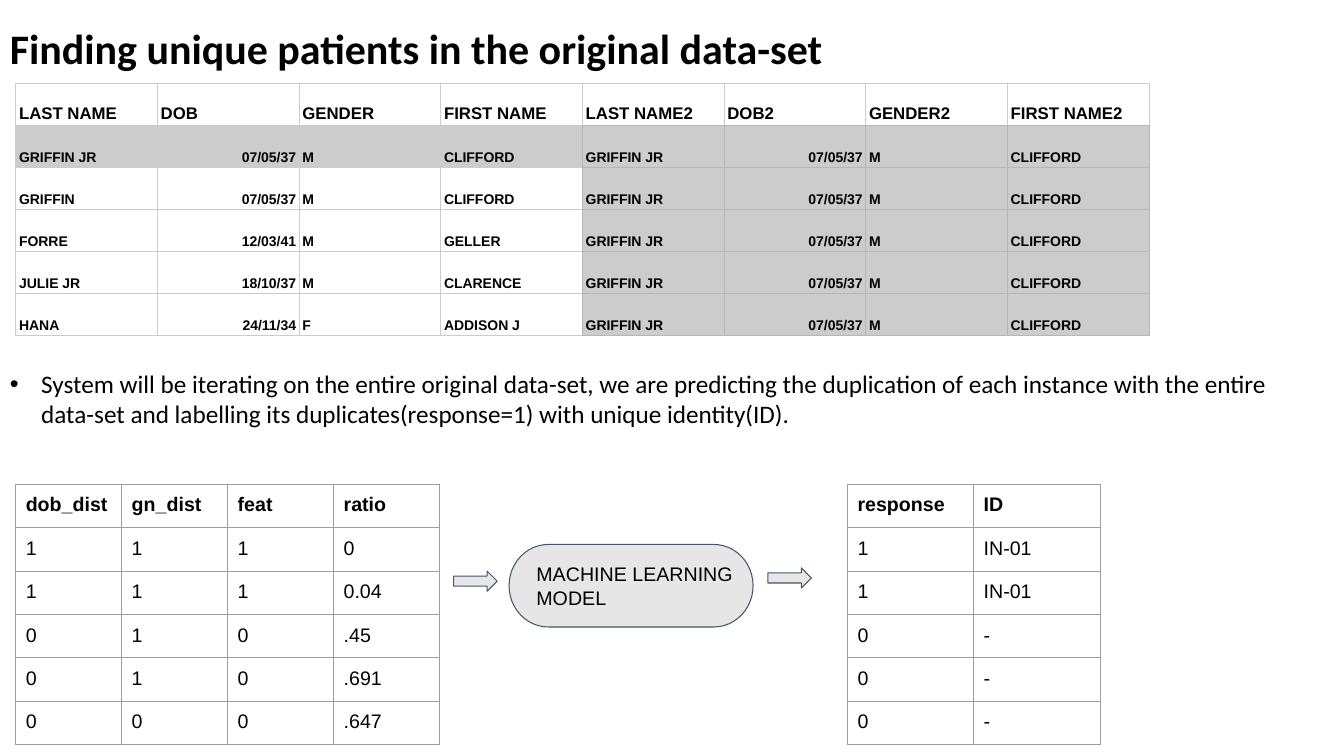
import lxml.etree
import pptx
import pptx.dml.color
import pptx.enum.shapes
import pptx.enum.text
import pptx.oxml.ns
import pptx.util

Cm = pptx.util.Cm
Pt = pptx.util.Pt
Align = pptx.enum.text.PP_ALIGN
Anchor = pptx.enum.text.MSO_ANCHOR
Preset = pptx.enum.shapes.MSO_SHAPE

COLORS = {
    "text": "000000",
    "page": "FFFFFF",
    "duplicate": "CCCCCC",
    "patient_grid": "CCCCCC",
    "duplicate_grid": "B7B7B7",
    "model_grid": "9E9E9E",
    "model_fill": "E7E6E6",
    "model_line": "44546A",
}

PATIENT_HEADERS = ["LAST NAME", "DOB", "GENDER", "FIRST NAME"]
PATIENTS = [
    ["GRIFFIN JR", "07/05/37", "M", "CLIFFORD"],
    ["GRIFFIN", "07/05/37", "M", "CLIFFORD"],
    ["FORRE", "12/03/41", "M", "GELLER"],
    ["JULIE JR", "18/10/37", "M", "CLARENCE"],
    ["HANA", "24/11/34", "F", "ADDISON J"],
]
FEATURES = [
    ["dob_dist", "gn_dist", "feat", "ratio"],
    ["1", "1", "1", "0"],
    ["1", "1", "1", "0.04"],
    ["0", "1", "0", ".45"],
    ["0", "1", "0", ".691"],
    ["0", "0", "0", ".647"],
]
RESPONSES = [["response", "ID"]] + [["1", "IN-01"]] * 2 + [["0", "-"]] * 3


def rgb(name):
    return pptx.dml.color.RGBColor.from_string(COLORS[name])


def add_xml(parent, tag, **attributes):
    return lxml.etree.SubElement(parent, pptx.oxml.ns.qn(tag), attributes)


def write(frame, text, size=14, font="Arial", bold=False, align=Align.LEFT,
          anchor=Anchor.TOP, insets=(0.25, 0.25, 0.25, 0.25), spacing=1.0, wrap=True):
    """Fill a text frame, one paragraph for each line of text."""
    frame.word_wrap = wrap
    frame.vertical_anchor = anchor
    frame.margin_left, frame.margin_top, frame.margin_right, frame.margin_bottom = map(Cm, insets)
    frame.text = text
    for paragraph in frame.paragraphs:
        paragraph.alignment = align
        paragraph.line_spacing = spacing
        paragraph.font.size = Pt(size)
        paragraph.font.name = font
        paragraph.font.bold = bold
        paragraph.font.color.rgb = rgb("text")


def add_text(slide, box, text, **text_format):
    frame = slide.shapes.add_textbox(*map(Cm, box)).text_frame
    write(frame, text, **text_format)
    return frame


def add_shape(slide, preset, box):
    shape = slide.shapes.add_shape(preset, *map(Cm, box))
    shape.shadow.inherit = False
    shape.fill.solid()
    shape.fill.fore_color.rgb = rgb("model_fill")
    shape.line.color.rgb = rgb("model_line")
    shape.line.width = Pt(0.75)
    return shape


def add_grid(slide, box, rows, cell_format):
    """Add a table; cell_format(row, column) gives fill, border colours and text format."""
    left, top, width, height = box
    table = slide.shapes.add_table(len(rows), len(rows[0]), *map(Cm, box)).table
    table.first_row = table.horz_banding = False
    for column in table.columns:
        column.width = Cm(width / len(rows[0]))
    for row in table.rows:
        row.height = Cm(height / len(rows))
    for row, values in enumerate(rows):
        for column, value in enumerate(values):
            cell = table.cell(row, column)
            fill, borders, text_format = cell_format(row, column)
            write(cell.text_frame, value, **text_format)
            # A cell keeps its own margins and anchor
            insets = text_format.get("insets", (0.25, 0.25, 0.25, 0.25))
            cell.margin_left, cell.margin_top, cell.margin_right, cell.margin_bottom = map(Cm, insets)
            cell.vertical_anchor = text_format.get("anchor", Anchor.TOP)
            for side, color in zip("LRTB", borders):
                line = add_xml(cell._tc.get_or_add_tcPr(), "a:ln" + side, w=str(Pt(0.75)))
                add_xml(add_xml(line, "a:solidFill"), "a:srgbClr", val=COLORS[color])
            cell.fill.solid()
            cell.fill.fore_color.rgb = rgb(fill)


def patient_cell(row, column):
    paired = len(PATIENT_HEADERS)
    below, beside = row >= 1, column >= paired
    duplicate = below and beside
    # Edges shared with the duplicate block take its darker line
    dark_edges = (duplicate, below and column >= paired - 1, duplicate, beside)
    borders = ["duplicate_grid" if dark else "patient_grid" for dark in dark_edges]
    date = below and column % paired == 1
    return ("duplicate" if duplicate or row == 1 else "page", borders,
            dict(size=10 if below else 12, bold=True, anchor=Anchor.BOTTOM, spacing=1.15,
                 insets=(0.08, 0.05, 0.08, 0.05), align=Align.RIGHT if date else Align.LEFT))


def model_cell(row, column):
    return "page", ["model_grid"] * 4, dict(bold=row == 0)


def add_patients(slide, box):
    headers = PATIENT_HEADERS + [header + "2" for header in PATIENT_HEADERS]
    rows = [headers] + [patient + PATIENTS[0] for patient in PATIENTS]
    add_grid(slide, box, rows, patient_cell)


def add_explanation(slide, box):
    frame = add_text(
        slide, box,
        "System will be iterating on the entire original data-set, we are predicting the "
        "duplication of each instance with the entire data-set and labelling its "
        "duplicates(response=1) with unique identity(ID).",
        size=18, font="Calibri", anchor=Anchor.MIDDLE)
    properties = frame.paragraphs[0]._p.get_or_add_pPr()
    properties.set("marL", str(Cm(0.79)))
    properties.set("indent", str(-Cm(0.79)))
    add_xml(properties, "a:buFont", typeface="Arial")
    add_xml(properties, "a:buChar", char="•")


def add_model_flow(slide, box):
    left, top, width, height = box
    # Input and output tables at the two ends
    output_width = 6.36
    add_grid(slide, (left, top, 10.68, height), FEATURES, model_cell)
    add_grid(slide, (left + width - output_width, top, output_width, height),
             RESPONSES, model_cell)
    # Model between two arrows
    model = add_shape(slide, Preset.FLOWCHART_TERMINATOR, (left + 12.43, top + 1.52, 6.15, 2.08))
    write(model.text_frame, "MACHINE LEARNING\nMODEL", anchor=Anchor.MIDDLE,
          insets=(0.4, 0, 0, 0), wrap=False)
    for x, y in ((11.03, 2.19), (18.95, 2.11)):
        add_shape(slide, Preset.RIGHT_ARROW, (left + x, top + y, 1.1, 0.51))


def main():
    presentation = pptx.Presentation()
    presentation.slide_width, presentation.slide_height = Cm(33.87), Cm(19.05)
    slide = presentation.slides.add_slide(presentation.slide_layouts[6])
    add_text(slide, (0, 0.4, 22.66, 1.6), "Finding unique patients in the original data-set",
             size=30, font="Calibri", bold=True, anchor=Anchor.MIDDLE,
             insets=(0.25, 0.13, 0.25, 0.13))
    add_patients(slide, (0.4, 2.1, 28.56, 6.36))
    add_explanation(slide, (0, 9, 33.4, 2.1))
    add_model_flow(slide, (0.4, 12.2, 27.32, 6.4))
    presentation.save("out.pptx")


main()
